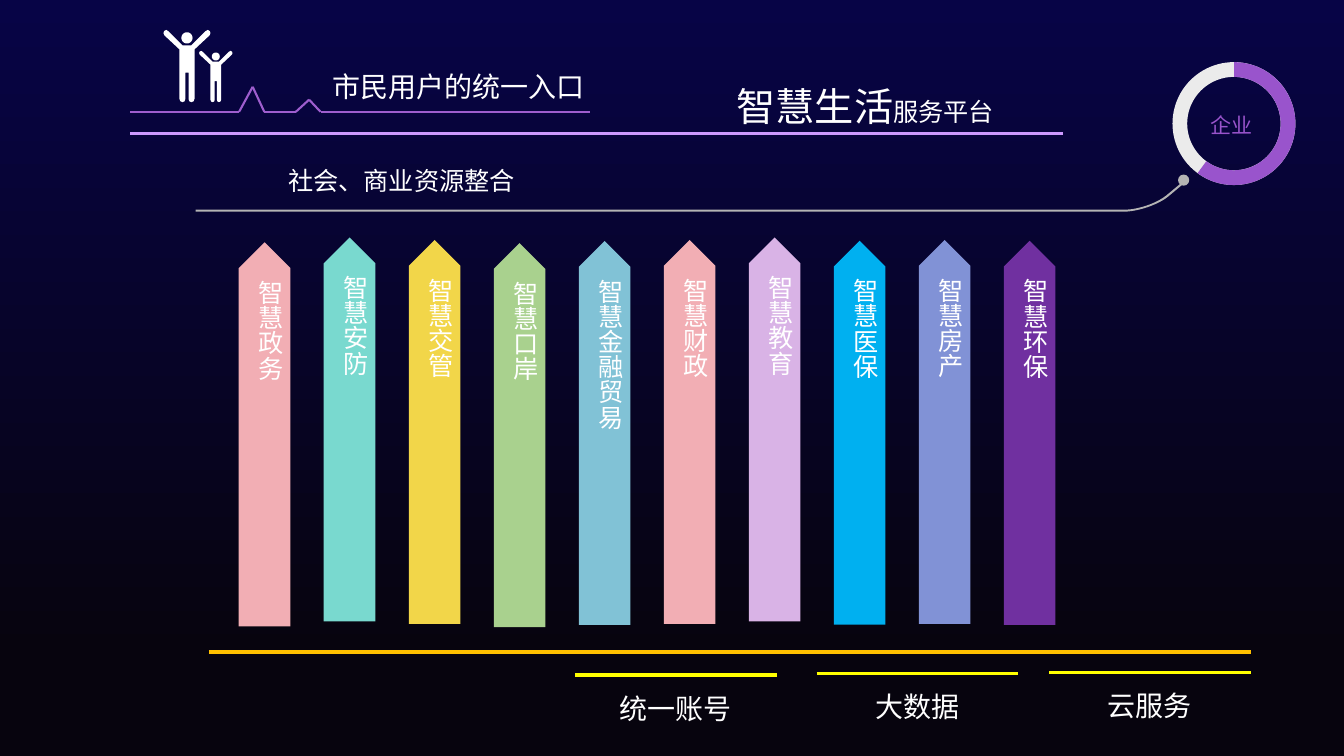
from dataclasses import dataclass
from itertools import pairwise
from math import cos, pi, sin

from lxml.etree import SubElement
from pptx import Presentation
from pptx.dml.color import RGBColor
from pptx.enum.shapes import MSO_CONNECTOR, MSO_SHAPE as Preset
from pptx.enum.text import MSO_ANCHOR, MSO_AUTO_SIZE, PP_ALIGN as Align
from pptx.oxml.ns import qn
from pptx.shapes.autoshape import Shape
from pptx.slide import Slide
from pptx.util import Pt

Point = tuple[float, float]

COLORS = {
    "sky": "070446", "night": "07040E", "white": "FFFFFF", "gold": "FFC000",
    "yellow": "FFFF00", "pulse": "9E5ECE", "lilac": "CC99FF", "gray": "B4B4B4",
    "ring": "EBEBEB", "purple": "9954CC", "pink": "F2AEB4", "mint": "79D9CF",
    "sun": "F2D649", "green": "A9D18E", "teal": "81C2D6", "mauve": "D9B3E6",
    "cyan": "00B0F0", "periwinkle": "8192D6", "violet": "7030A0",
}
CJK_FONT = "Noto Sans CJK SC"


@dataclass
class Rule:
    start: Point
    end: Point
    color: str
    width: float


@dataclass
class Label:
    runs: list[tuple[str, float]]
    left: float
    top: float
    width: float
    height: float
    align: Align = Align.LEFT
    spacing: float = 1.0
    color: str = "white"
    font: str = CJK_FONT
    vertical: bool = False
    fixed: bool = False


@dataclass
class Pillar:
    text: str
    color: str
    top: float


@dataclass
class Person:
    center: float
    top: float
    scale: float


PILLARS = [
    Pillar("智慧政务", "pink", 173.1), Pillar("智慧安防", "mint", 169.6),
    Pillar("智慧交管", "sun", 171.4), Pillar("智慧口岸", "green", 173.7),
    Pillar("智慧金融贸易", "teal", 172.1), Pillar("智慧财政", "pink", 171.4),
    Pillar("智慧教育", "mauve", 169.6), Pillar("智慧医保", "cyan", 171.9),
    Pillar("智慧房产", "periwinkle", 171.4), Pillar("智慧环保", "violet", 172),
]
PILLAR_CENTER, PILLAR_STEP, PILLAR_LENGTH, PILLAR_WIDTH = 189, 60.72, 274.3, 36.9

SERVICES = [("统一账号", 411, 482.2), ("大数据", 583.4, 481), ("云服务", 749.4, 480.2)]
SERVICE_WIDTH = 144

PULSE = [(93, 79.9), (170.8, 79.9), (180.5, 62), (188.8, 79.9),
         (211.3, 79.9), (220.8, 71.2), (229, 79.9), (421.4, 79.9)]

RULES = [
    Rule((149.2, 465.8), (893.5, 465.8), "gold", 3),
    Rule((93, 95.2), (759.4, 95.2), "lilac", 2.25),
    *(Rule(start, end, "pulse", 1.5) for start, end in pairwise(PULSE)),
    *(Rule((left, top), (left + SERVICE_WIDTH, top), "yellow", 2.25)
      for _, left, top in SERVICES),
]

LABELS = [
    Label([("市民用户的统一入口", 20)], 230.4, 49, 357, 28.8, spacing=0.9),
    Label([("智慧生活", 28), ("服务平台", 18)], 483.8, 55.4, 233.3, 41, Align.RIGHT),
    Label([("社会、商业资源整合", 18)], 198.7, 114.5, 296.6, 28.8),
    Label([("企业", 15)], 843.1, 74.2, 72.7, 30.2, Align.CENTER,
          color="purple", font="Arial", fixed=True),
    *(Label([(text, 20)], left - 14.2, top + 11, 172, 28.8, Align.CENTER, 0.9)
      for text, left, top in SERVICES),
]

HALF_BODY = [(3.2, 11.2), (13.3, 1.1), (14.8, 0.2), (16.3, 1), (16.8, 2.5),
             (16.2, 4), (5.4, 14.1), (5.4, 49.4), (4.7, 51.2), (3.2, 51.8),
             (1.7, 51.2), (1.1, 49.4), (1.1, 30.7)]
PEOPLE = [Person(133.6, 21.2, 1), Person(154.2, 36.2, 0.71)]


def rgb(name: str) -> RGBColor:
    return RGBColor.from_string(COLORS[name])


def bezier(p0: Point, p1: Point, p2: Point, p3: Point) -> list[Point]:
    def at(t: float, axis: int) -> float:
        u = 1 - t
        return (u**3 * p0[axis] + 3 * u * u * t * p1[axis]
                + 3 * u * t * t * p2[axis] + t**3 * p3[axis])
    return [(at(step / 12, 0), at(step / 12, 1)) for step in range(13)]


def paint(shape: Shape, color: str) -> None:
    shape.shadow.inherit = False
    shape.fill.solid()
    shape.fill.fore_color.rgb = rgb(color)
    shape.line.fill.background()


def add_preset(slide: Slide, preset: Preset, left: float, top: float,
               width: float, height: float, color: str) -> Shape:
    shape = slide.shapes.add_shape(preset, Pt(left), Pt(top), Pt(width), Pt(height))
    paint(shape, color)
    return shape


def add_outline(slide: Slide, contours: list[list[Point]], color: str) -> None:
    contours = [[(Pt(x), Pt(y)) for x, y in contour] for contour in contours]
    builder = slide.shapes.build_freeform(*contours[0][0])
    for index, contour in enumerate(contours):
        if index:
            builder.move_to(*contour[0])
        builder.add_line_segments(contour[1:], close=True)
    paint(builder.convert_to_shape(), color)


def add_rule(slide: Slide, rule: Rule) -> None:
    connector = slide.shapes.add_connector(
        MSO_CONNECTOR.STRAIGHT, *map(Pt, rule.start + rule.end))
    connector.line.color.rgb = rgb(rule.color)
    connector.line.width = Pt(rule.width)
    SubElement(connector._element.spPr, qn("a:effectLst"))


def add_label(slide: Slide, label: Label) -> None:
    box = slide.shapes.add_textbox(
        Pt(label.left), Pt(label.top), Pt(label.width), Pt(label.height))
    frame = box.text_frame
    frame.word_wrap = not label.fixed
    if label.fixed:
        frame.vertical_anchor = MSO_ANCHOR.MIDDLE
    else:
        frame.auto_size = MSO_AUTO_SIZE.SHAPE_TO_FIT_TEXT
    if label.vertical:
        frame._txBody.bodyPr.set("vert", "eaVert")
    paragraph = frame.paragraphs[0]
    paragraph.alignment = label.align
    paragraph.line_spacing = label.spacing
    font = paragraph.font
    font.color.rgb = rgb(label.color)
    font.name = label.font
    font.size = Pt(label.runs[0][1])
    east_asian = SubElement(paragraph._p.pPr.find(qn("a:defRPr")), qn("a:ea"))
    east_asian.set("typeface", label.font)
    for text, size in label.runs:
        run = paragraph.add_run()
        run.text = text
        if len(label.runs) > 1:
            run.font.size = Pt(size)


def add_pillar(slide: Slide, pillar: Pillar, center: float) -> None:
    arrow = add_preset(
        slide, Preset.PENTAGON, center - PILLAR_LENGTH / 2,
        pillar.top + (PILLAR_LENGTH - PILLAR_WIDTH) / 2,
        PILLAR_LENGTH, PILLAR_WIDTH, pillar.color)
    arrow.rotation = 270
    add_label(slide, Label([(pillar.text, 18)], center - 17.8, pillar.top + 20,
                           36, 233.3, Align.CENTER, vertical=True))


def person_contours(person: Person) -> list[list[Point]]:
    head = [(4 * cos(step * pi / 12), 5.9 + 4 * sin(step * pi / 12))
            for step in range(24)]
    body = HALF_BODY + [(-x, y) for x, y in reversed(HALF_BODY)]
    return [[(person.center + person.scale * x, person.top + person.scale * y)
             for x, y in contour] for contour in (head, body)]


def main() -> None:
    """Build the smart living service platform slide."""
    presentation = Presentation()
    presentation.slide_width, presentation.slide_height = Pt(960), Pt(540)
    slide = presentation.slides.add_slide(presentation.slide_layouts[6])
    background = slide.background.fill
    background.gradient()
    background.gradient_angle = 270
    for stop, color, position in zip(background.gradient_stops, ("sky", "night"), (0, 0.87)):
        stop.color.rgb = rgb(color)
        stop.position = position

    for rule in RULES:
        add_rule(slide, rule)
    for index, pillar in enumerate(PILLARS):
        add_pillar(slide, pillar, PILLAR_CENTER + index * PILLAR_STEP)

    upper = bezier((802.8, 149.8), (812.9, 149.8), (825.8, 145.4), (833, 139.7))
    lower = bezier((834.5, 140.4), (827.3, 146.2), (812.9, 151.2), (802.8, 151.2))
    add_outline(slide, [[(139.7, 151.2), (139.7, 149.8), *upper,
                         (846, 128.9), (847.4, 129.6), *lower]], "gray")
    add_preset(slide, Preset.OVAL, 841.5, 124.7, 8, 8, "gray")
    ring = (837.5, 44.4, 87.8, 87.8)
    add_preset(slide, Preset.DONUT, *ring, "ring").adjustments[0] = 0.12
    arc = add_preset(slide, Preset.BLOCK_ARC, *ring, "purple")
    for index, value in enumerate((162.17, 75.76, 0.12)):
        arc.adjustments[index] = value
    add_outline(slide, [contour for person in PEOPLE
                        for contour in person_contours(person)], "white")
    for label in LABELS:
        add_label(slide, label)
    presentation.save("out.pptx")


if __name__ == "__main__":
    main()
